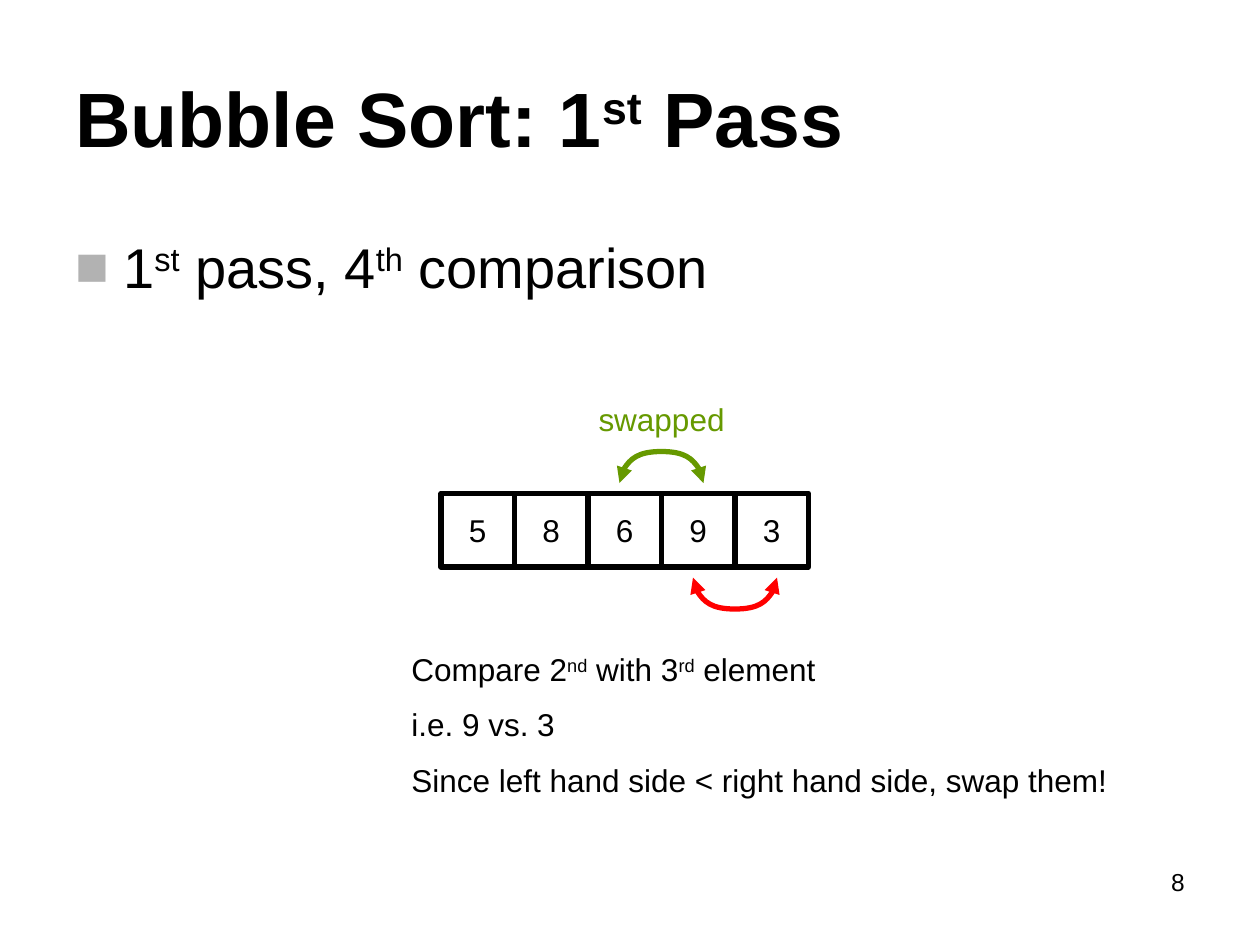
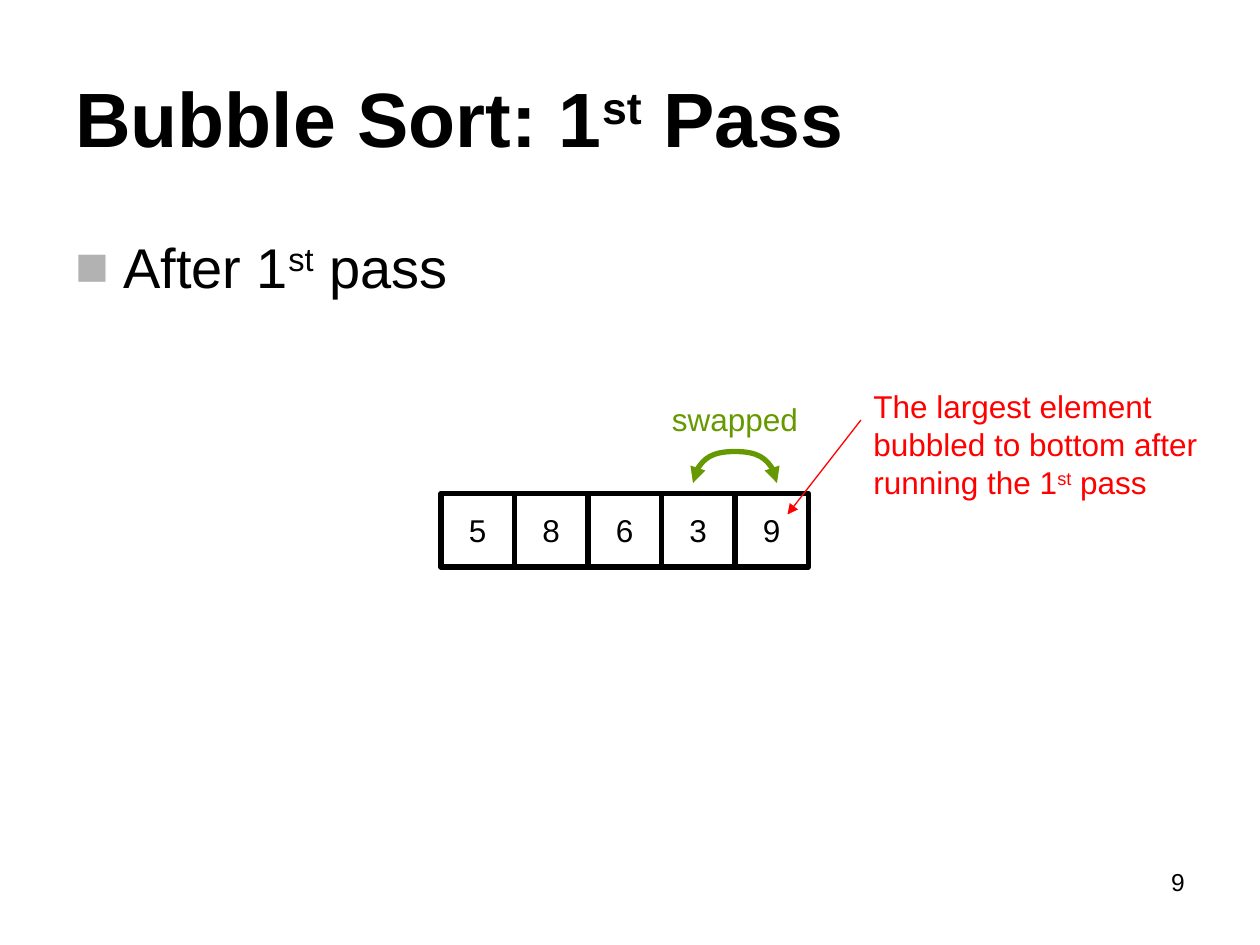
from collections import namedtuple
from lxml.etree import SubElement
from pptx import Presentation
from pptx.dml.color import RGBColor
from pptx.enum.shapes import MSO_CONNECTOR, MSO_SHAPE
from pptx.enum.text import MSO_ANCHOR, PP_ALIGN
from pptx.oxml.ns import qn
from pptx.util import Inches, Pt

BLACK = RGBColor(0x00, 0x00, 0x00)
WHITE = RGBColor(0xFF, 0xFF, 0xFF)
RED = RGBColor(0xFF, 0x00, 0x00)
GREEN = RGBColor(0x66, 0x99, 0x00)
GRAY = RGBColor(0xB2, 0xB2, 0xB2)

FONT = "Arial"
WIDTH, HEIGHT = Inches(10), Inches(7.5)
COLUMNS, ROWS = 120, 90
UNIT = WIDTH // COLUMNS
CELL = 7

Box = namedtuple("Box", "left top width height")
TITLE = Box(6, 3.6, 108, 15)
BODY = Box(6, 21, 108, 59.4)
NUMBER = Box(86, 82, 28, 6.2)
ARRAY = Box(42, 47, 5 * CELL, CELL)
CAPTION = Box(38, 61, 73, 15.6)
NOTE = Box(82, 36, 34, 12)

ARC_WIDTH, ARC_HEIGHT, ARC_GAP = 8, 3, 1
ARC_POINTS = [(0, 1), (0, 0.45), (0.22, 0), (0.5, 0), (0.78, 0), (1, 0.45), (1, 1)]


def grid(*values):
    return [round(value * UNIT) for value in values]


def write(frame, lines, size, color=BLACK, bold=False, align=PP_ALIGN.LEFT, gap=0):
    for index, line in enumerate(lines):
        para = frame.add_paragraph() if index else frame.paragraphs[0]
        para.alignment = align
        if index:
            para.space_before = Pt(gap)
        for position, part in enumerate(line.split("^")):
            span = para.add_run()
            span.text = part
            span.font.name = FONT
            span.font.size = Pt(size)
            span.font.bold = bold
            span.font.color.rgb = color
            if position % 2:
                span.font._element.set("baseline", "30000")


def add_text(page, box, lines, size, lead=0, **style):
    frame = page.shapes.add_textbox(*grid(*box)).text_frame
    frame.word_wrap = True
    frame.margin_top = Pt(3.6 + lead * size)
    write(frame, lines, size, **style)
    return frame


def add_arrowheads(line, *ends):
    for end in ends:
        SubElement(line._get_or_add_ln(), qn("a:" + end), type="triangle")


def add_bullet(para):
    properties = para._p.get_or_add_pPr()
    properties.set("marL", str(Inches(0.38)))
    properties.set("indent", str(-Inches(0.38)))
    color = SubElement(properties, qn("a:buClr"))
    SubElement(color, qn("a:srgbClr"), val=str(GRAY))
    SubElement(properties, qn("a:buFont"), typeface=FONT)
    SubElement(properties, qn("a:buChar"), char="■")


def add_frame(deck, heading, number):
    page = deck.slides.add_slide(deck.slide_layouts[6])
    add_text(page, NUMBER, [number], 14, align=PP_ALIGN.RIGHT)
    title = add_text(page, TITLE, ["Bubble Sort: 1^st^ Pass"], 44, bold=True)
    title.vertical_anchor = MSO_ANCHOR.MIDDLE
    body = add_text(page, BODY, [heading], 32, lead=0.1)
    add_bullet(body.paragraphs[0])
    return page


def add_array(page, box, values):
    for index, value in enumerate(values):
        left = box.left + index * CELL
        cell = page.shapes.add_shape(MSO_SHAPE.RECTANGLE, *grid(left, box.top, CELL, CELL))
        cell.shadow.inherit = False
        cell.fill.solid()
        cell.fill.fore_color.rgb = WHITE
        cell.line.color.rgb = BLACK
        cell.line.width = Pt(3)
        cell.text_frame.word_wrap = False
        cell.text_frame.vertical_anchor = MSO_ANCHOR.MIDDLE
        write(cell.text_frame, [str(value)], 18, align=PP_ALIGN.CENTER)


def add_arc(page, box, color, below=False):
    points = [
        grid(box.left + x * box.width, box.top + (1 - y if below else y) * box.height)
        for x, y in ARC_POINTS
    ]
    builder = page.shapes.build_freeform(*points[0])
    builder.add_line_segments(points[1:], close=False)
    arc = builder.convert_to_shape()
    outline = next(arc._element.iter(qn("a:path")))
    steps = outline.findall(qn("a:lnTo"))
    for start in range(0, len(steps), 3):
        curve = SubElement(outline, qn("a:cubicBezTo"))
        for step in steps[start:start + 3]:
            curve.append(step[0])
            outline.remove(step)
    arc.shadow.inherit = False
    arc.fill.background()
    arc.line.color.rgb = color
    arc.line.width = Pt(3)
    add_arrowheads(arc.line, "headEnd", "tailEnd")


def arc_box(array, border, below=False):
    left = array.left + border * CELL - ARC_WIDTH / 2
    if below:
        top = array.top + array.height + ARC_GAP
    else:
        top = array.top - ARC_GAP - ARC_HEIGHT
    return Box(left, top, ARC_WIDTH, ARC_HEIGHT)


def mark_swapped(page, array, border):
    box = arc_box(array, border)
    add_arc(page, box, GREEN)
    label = Box(box.left - 4, box.top - 5.8, 16, 4.8)
    add_text(page, label, ["swapped"], 18, lead=0.1, color=GREEN, align=PP_ALIGN.CENTER)


def add_pointer(page, start, end):
    pointer = page.shapes.add_connector(MSO_CONNECTOR.STRAIGHT, *grid(*start, *end))
    pointer.line.color.rgb = RED
    pointer.line.width = Pt(0.75)
    add_arrowheads(pointer.line, "tailEnd")
    SubElement(pointer._element.spPr, qn("a:effectLst"))


def add_comparison_slide(deck):
    page = add_frame(deck, "1^st^ pass, 4^th^ comparison", "8")
    add_array(page, ARRAY, [5, 8, 6, 9, 3])
    add_arc(page, arc_box(ARRAY, 4, below=True), RED, below=True)
    lines = [
        "Compare 2^nd^ with 3^rd^ element",
        "i.e. 9 vs. 3",
        "Since left hand side < right hand side, swap them!",
    ]
    add_text(page, CAPTION, lines, 18, lead=0.1, gap=10)
    mark_swapped(page, ARRAY, 3)


def add_result_slide(deck):
    page = add_frame(deck, "After 1^st^ pass", "9")
    add_array(page, ARRAY, [5, 8, 6, 3, 9])
    tip = (ARRAY.left + ARRAY.width - 2, ARRAY.top + 2)
    add_pointer(page, (NOTE.left, NOTE.top + 4), tip)
    note = "The largest element bubbled to bottom after running the 1^st^ pass"
    add_text(page, NOTE, [note], 18, lead=0.1, color=RED)
    mark_swapped(page, ARRAY, 4)


def main():
    deck = Presentation()
    deck.slide_width, deck.slide_height = WIDTH, HEIGHT
    add_comparison_slide(deck)
    add_result_slide(deck)
    deck.save("out.pptx")


if __name__ == "__main__":
    main()
